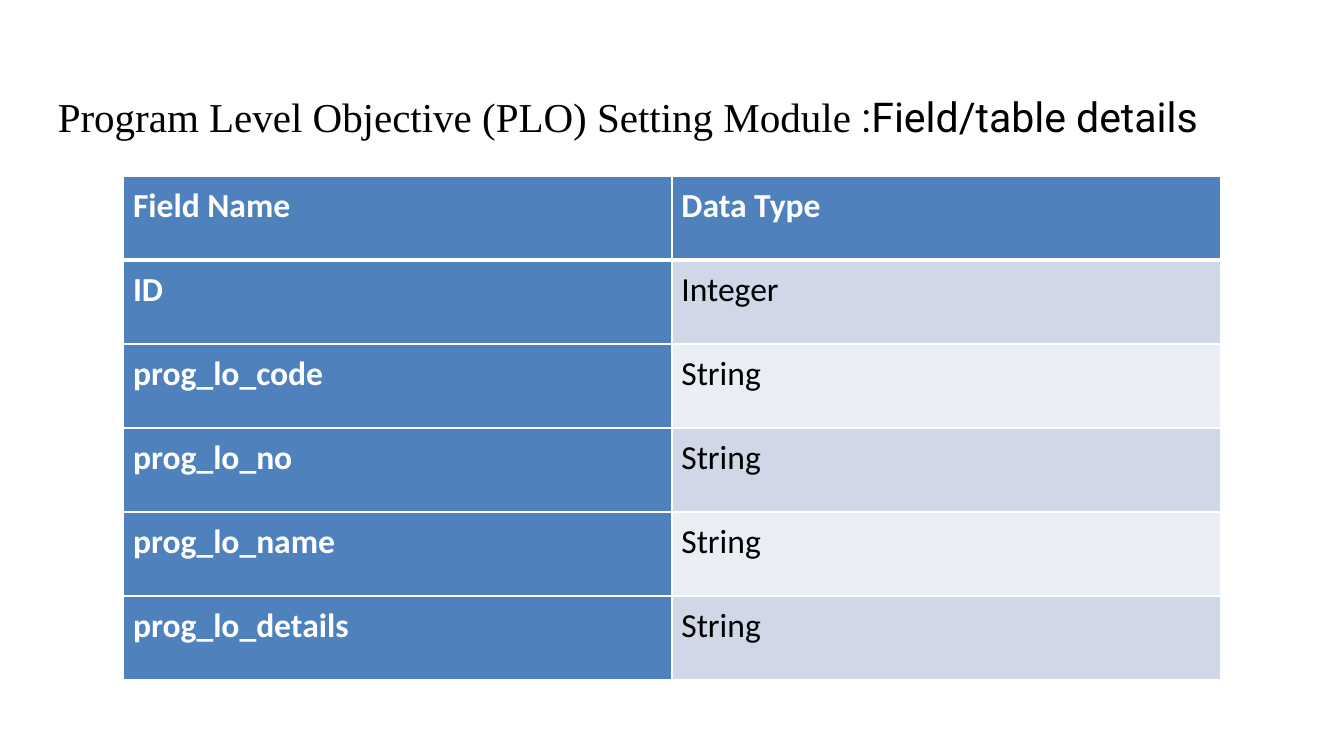
from dataclasses import dataclass

from lxml.etree import SubElement as Sub
from pptx import Presentation
from pptx.dml.color import RGBColor as Rgb
from pptx.enum.text import MSO_ANCHOR as Anchor, MSO_AUTO_SIZE as Fit, PP_ALIGN as Align
from pptx.oxml.ns import qn
from pptx.util import Inches, Pt


@dataclass(frozen=True)
class Theme:
    ink: str = "000000"
    white: str = "FFFFFF"
    blue: str = "4F81BD"
    bands: tuple = ("D0D8E8", "E9EDF4")
    serif: str = "Times New Roman"
    sans: str = "Roboto"
    body: str = "Calibri"
    head: int = 22
    text: int = 18


LOOK = Theme()
WIDE = Inches(10)
TITLE = (
    ("Program Level Objective (PLO) Setting Module ", LOOK.serif),
    (":Field/table details", LOOK.sans),
)
ROWS = (
    ("Field Name", "Data Type"),
    ("ID", "Integer"),
    ("prog_lo_code", "String"),
    ("prog_lo_no", "String"),
    ("prog_lo_name", "String"),
    ("prog_lo_details", "String"),
)


def apply(item, values):
    for name, value in values.items():
        setattr(item, name, value)


def style(run, face, size, color, bold=False):
    apply(run.font, {"name": face, "size": Pt(size), "bold": bold})
    run.font.color.rgb = Rgb.from_string(color)


def edge(cell, side, width):
    line = Sub(cell._tc.get_or_add_tcPr(), qn(f"a:ln{side}"), w=str(Pt(width)))
    fill = Sub(line, qn("a:solidFill"))
    Sub(fill, qn("a:srgbClr"), val=LOOK.white)


def add_title(slide, box):
    title = slide.shapes.title
    apply(title, dict(zip(("left", "top", "width", "height"), map(Inches, box))))
    frame = title.text_frame
    apply(frame, {
        "margin_left": Inches(0.01), "margin_right": 0, "margin_bottom": 0,
        "margin_top": Inches(0.02), "word_wrap": True,
        "vertical_anchor": Anchor.TOP, "auto_size": Fit.SHAPE_TO_FIT_TEXT,
    })
    para = frame.paragraphs[0]
    apply(para, {"alignment": Align.LEFT, "space_before": Pt(0)})
    for text, face in TITLE:
        run = para.add_run()
        run.text = text
        style(run, face, LOOK.head, LOOK.ink)


def fill_cell(cell, text, row, col):
    strong = row == 0 or col == 0
    widths = {"L": 1, "R": 1, "T": 3 if row == 1 else 1, "B": 3 if row == 0 else 1}
    for side, width in widths.items():
        edge(cell, side, width)
    cell.fill.solid()
    shade = LOOK.blue if strong else LOOK.bands[(row - 1) % 2]
    cell.fill.fore_color.rgb = Rgb.from_string(shade)
    apply(cell, {
        "margin_left": Inches(0.07), "margin_right": Inches(0.08),
        "margin_top": Inches(0.05), "margin_bottom": 0,
        "vertical_anchor": Anchor.TOP,
    })
    para = cell.text_frame.paragraphs[0]
    apply(para, {"line_spacing": 1.07, "space_after": Pt(0.2)})
    run = para.add_run()
    run.text = text
    style(run, LOOK.body, LOOK.text, LOOK.white if strong else LOOK.ink, strong)


def add_fields(slide, box):
    size = len(ROWS), len(ROWS[0])
    table = slide.shapes.add_table(*size, *map(Inches, box)).table
    apply(table, {"first_col": True})
    for row, texts in enumerate(ROWS):
        for col, text in enumerate(texts):
            fill_cell(table.cell(row, col), text, row, col)


def main():
    deck = Presentation()
    apply(deck, {"slide_width": WIDE, "slide_height": WIDE * 9 // 16})
    slide = deck.slides.add_slide(deck.slide_layouts[5])
    add_title(slide, (0.42, 0.66, 9.16, 0.39))
    add_fields(slide, (0.92, 1.31, 8.16, 3.75))
    deck.save("out.pptx")


if __name__ == "__main__":
    main()
